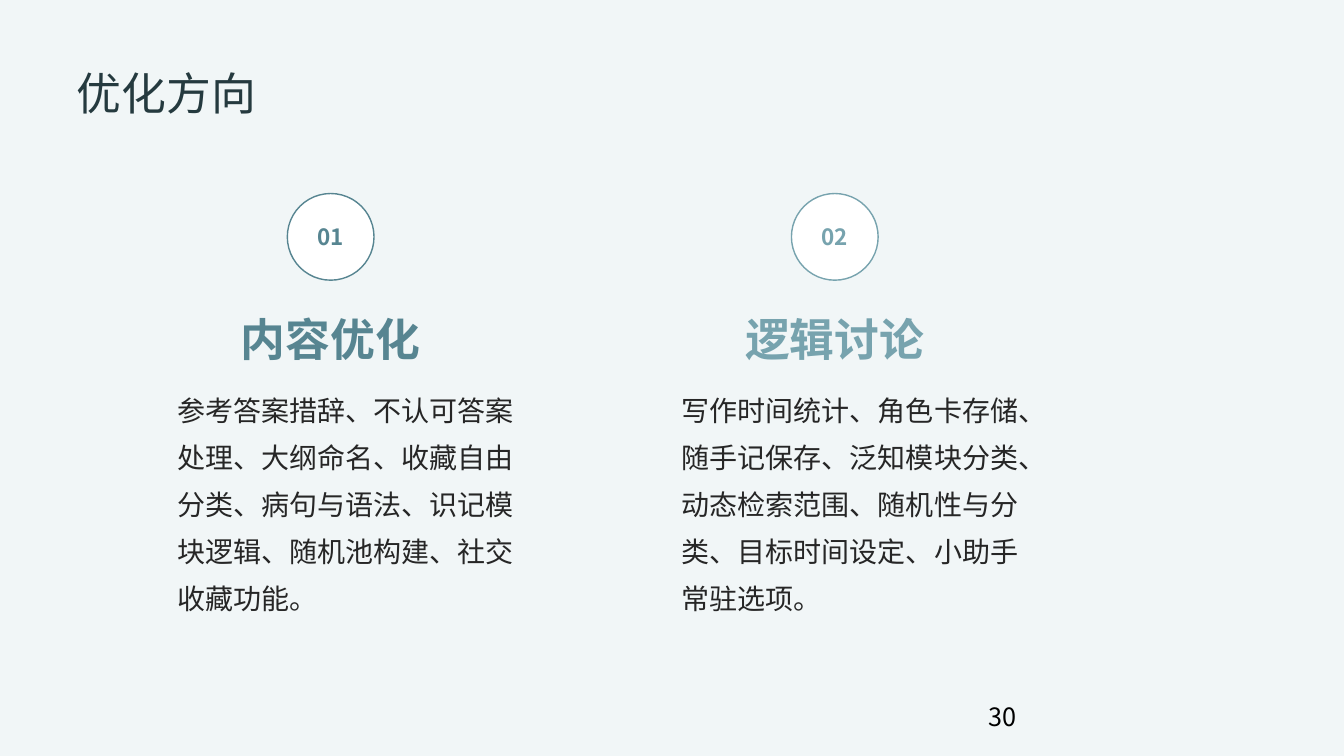
from lxml import etree
from pptx import Presentation
from pptx.dml.color import RGBColor
from pptx.enum.shapes import MSO_SHAPE
from pptx.enum.text import MSO_ANCHOR, PP_ALIGN
from pptx.oxml.ns import qn
from pptx.util import Inches, Pt

OVAL = MSO_SHAPE.OVAL
TOP, MIDDLE, BOTTOM = MSO_ANCHOR.TOP, MSO_ANCHOR.MIDDLE, MSO_ANCHOR.BOTTOM
LEFT, CENTER = PP_ALIGN.LEFT, PP_ALIGN.CENTER

PALE = RGBColor(0xF1, 0xF6, 0xF7)
DARK_TEAL = RGBColor(0x25, 0x3A, 0x3F)
TEAL = RGBColor(0x57, 0x85, 0x91)
LIGHT_TEAL = RGBColor(0x77, 0xA3, 0xAE)
INK = RGBColor(0x26, 0x26, 0x26)
BLACK = RGBColor(0, 0, 0)
WHITE = RGBColor(0xFF, 0xFF, 0xFF)
SANS, SERIF = "Noto Sans CJK SC", "Times New Roman"

COLUMN_LEFT, COLUMN_STEP = 1.76, 5
HEADING_WIDTH, CIRCLE_SIZE = 3.04, 0.86


def write(shape, text, size, color, bold=False, align=LEFT, anchor=TOP,
          name=SANS, spacing=None, inset=(0, 0)):
    """Fill a shape with one paragraph, setting its Latin and East Asian fonts."""
    frame = shape.text_frame
    frame.word_wrap = True
    frame.vertical_anchor = anchor
    frame.margin_left = frame.margin_right = Inches(inset[0])
    frame.margin_top = frame.margin_bottom = Inches(inset[1])
    para = frame.paragraphs[0]
    para.text = text
    para.alignment = align
    if spacing:
        para.line_spacing = spacing
    font = para.font
    font.size, font.bold, font.name = Pt(size), bold, name
    font.color.rgb = color
    defaults = para._p.pPr.find(qn("a:defRPr"))
    etree.SubElement(defaults, qn("a:ea")).set("typeface", SANS)


def add_box(left, top, width, height):
    return page.shapes.add_textbox(*map(Inches, (left, top, width, height)))


deck = Presentation()
deck.slide_width, deck.slide_height = Inches(13.33), Inches(7.5)
page = deck.slides.add_slide(deck.slide_layouts[6])
page.background.fill.solid()
page.background.fill.fore_color.rgb = PALE

write(add_box(0.76, 0.39, 11.81, 0.79), "优化方向", 32, DARK_TEAL,
      anchor=BOTTOM, name=SERIF)

topics = [
    ("内容优化", TEAL, 3.39,
     "参考答案措辞、不认可答案处理、大纲命名、收藏自由分类、病句与语法、"
     "识记模块逻辑、随机池构建、社交收藏功能。"),
    ("逻辑讨论", LIGHT_TEAL, 3.48,
     "写作时间统计、角色卡存储、随手记保存、泛知模块分类、动态检索范围、"
     "随机性与分类、目标时间设定、小助手常驻选项。"),
]
for index, (heading, color, body_width, body) in enumerate(topics):
    left = COLUMN_LEFT + index * COLUMN_STEP
    circle_left = left + (HEADING_WIDTH - CIRCLE_SIZE) / 2
    circle = page.shapes.add_shape(OVAL, Inches(circle_left), Inches(1.92),
                                   Inches(CIRCLE_SIZE), Inches(CIRCLE_SIZE))
    circle.shadow.inherit = False
    circle.fill.solid()
    circle.fill.fore_color.rgb = WHITE
    circle.line.color.rgb = color
    circle.line.width = Pt(1)
    write(circle, f"{index + 1:02}", 16, color, True, CENTER, MIDDLE)
    write(add_box(left, 3.03, HEADING_WIDTH, 0.66), heading, 32, color,
          True, CENTER, MIDDLE)
    write(add_box(left, 3.77, body_width, 2.14), body, 20, INK, spacing=1.4)

write(add_box(9.71, 6.91, 2.95, 0.35), "30", 18, BLACK, inset=(0.1, 0.05))

deck.save("out.pptx")
